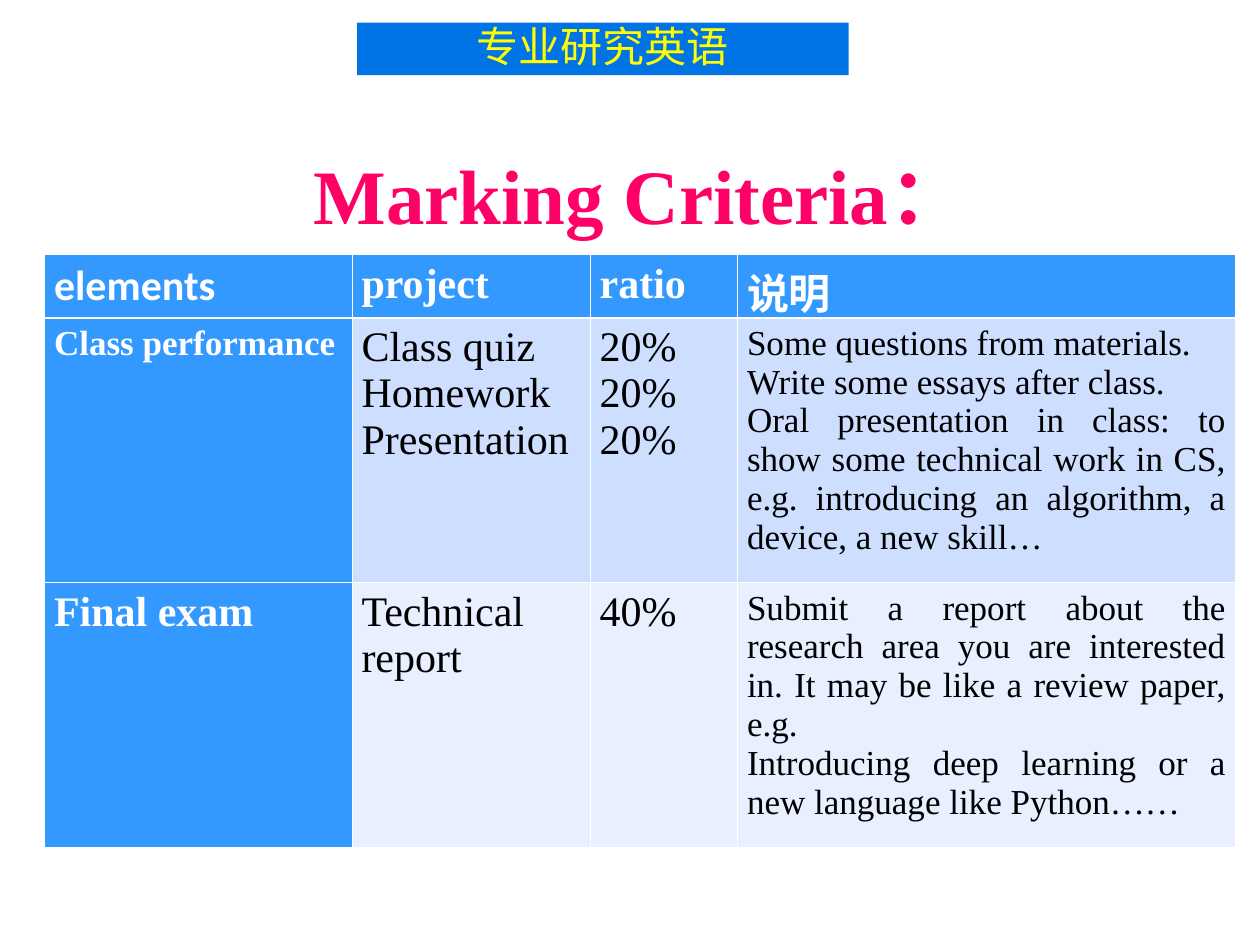
from dataclasses import dataclass

from lxml import etree
from pptx import Presentation
from pptx.dml.color import RGBColor
from pptx.enum.shapes import MSO_SHAPE
from pptx.enum.text import MSO_ANCHOR, PP_ALIGN
from pptx.oxml.ns import qn
from pptx.util import Pt

RECT = MSO_SHAPE.RECTANGLE
MIDDLE = MSO_ANCHOR.MIDDLE
CENTER = PP_ALIGN.CENTER
JUSTIFY = PP_ALIGN.JUSTIFY


@dataclass(frozen=True)
class Theme:
    banner: str = "0073E5"
    yellow: str = "FFFF00"
    pink: str = "FF0066"
    head: str = "3399FF"
    bands: tuple = ("CDDEFF", "E8EFFF")
    white: str = "FFFFFF"
    black: str = "000000"
    serif: str = "Times New Roman"
    sans: str = "Calibri"
    asian: str = "Noto Sans CJK SC"
    title: int = 44
    large: int = 24
    small: int = 20
    thin: float = 0.45
    thick: float = 1.47


THEME = Theme()

COLS = (175.7, 136.1, 84.2, 284.4)
ROWS = (28.8, 151.2, 151.2)
CELLS = (
    (("elements",), ("project",), ("ratio",), ("说明",)),
    (
        ("Class performance",),
        ("Class quiz", "Homework", "Presentation"),
        ("20%", "20%", "20%"),
        (
            "Some questions from materials.",
            "Write some essays after class.",
            "Oral presentation in class: to show some technical work in CS, "
            "e.g. introducing an algorithm, a device, a new skill…",
        ),
    ),
    (
        ("Final exam",),
        ("Technical report",),
        ("40%",),
        (
            "Submit a report about the research area you are interested in. "
            "It may be like a review paper, e.g. ",
            "Introducing deep learning or a new language like Python……",
        ),
    ),
)


def paint(fill, color):
    fill.solid()
    fill.fore_color.rgb = RGBColor.from_string(color)


def add_text(frame, lines, size, color, face, bold=False, align=CENTER):
    """Write one paragraph per line, each with a single run."""
    frame.word_wrap = True
    for i, line in enumerate(lines):
        para = frame.add_paragraph() if i else frame.paragraphs[0]
        para.alignment = align
        run = para.add_run()
        run.text = line
        font = run.font
        font.size, font.bold, font.name = Pt(size), bold, face
        font.color.rgb = RGBColor.from_string(color)
        asian = etree.SubElement(run._r.get_or_add_rPr(), qn("a:ea"))
        asian.set("typeface", THEME.asian)


def add_edge(cell, side, width):
    props = cell._tc.get_or_add_tcPr()
    line = etree.SubElement(props, qn(f"a:ln{side}"), w=str(Pt(width)))
    fill = etree.SubElement(line, qn("a:solidFill"))
    etree.SubElement(fill, qn("a:srgbClr"), val=THEME.white)


def add_banner(slide):
    box = slide.shapes.add_shape(RECT, Pt(204), Pt(13), Pt(281), Pt(30))
    box.shadow.inherit = False
    paint(box.fill, THEME.banner)
    box.line.fill.background()
    frame = box.text_frame
    frame.vertical_anchor = MIDDLE
    add_text(frame, ["专业研究英语"], THEME.large, THEME.yellow, THEME.asian)
    para = frame.paragraphs[0]
    para.line_spacing = 0.9
    para.space_after = Pt(6)


def add_title(slide):
    box = slide.shapes.add_textbox(Pt(39.6), Pt(80.6), Pt(652.3), Pt(60.5))
    add_text(box.text_frame, ["Marking Criteria："], THEME.title,
             THEME.pink, THEME.serif, bold=True)


def fill_cell(cell, row, col, lines):
    head = row == 0 or col == 0
    # The rule under the header row is heavier than the rest
    heavy = {(0, "B"), (1, "T")}
    for side in "LRTB":
        add_edge(cell, side, THEME.thick if (row, side) in heavy else THEME.thin)
    paint(cell.fill, THEME.head if head else THEME.bands[row - 1])
    cell.margin_left = cell.margin_right = Pt(5.4)
    cell.margin_top = cell.margin_bottom = Pt(3.6)
    small = (row, col) == (1, 0) or (row > 0 and col == 3)
    add_text(
        cell.text_frame, lines,
        THEME.small if small else THEME.large,
        THEME.white if head else THEME.black,
        THEME.sans if row == col == 0 else THEME.serif,
        bold=head, align=JUSTIFY,
    )


def add_grid(slide):
    frame = slide.shapes.add_table(
        len(ROWS), len(COLS), Pt(25.5), Pt(145.5), Pt(sum(COLS)), Pt(sum(ROWS)))
    table = frame.table
    table.first_col = True
    table.horz_banding = False
    for col, width in zip(table.columns, COLS):
        col.width = Pt(width)
    for row, height in zip(table.rows, ROWS):
        row.height = Pt(height)
    for r, row in enumerate(CELLS):
        for c, lines in enumerate(row):
            fill_cell(table.cell(r, c), r, c, lines)


def main():
    deck = Presentation()
    deck.slide_width, deck.slide_height = Pt(720), Pt(540)
    slide = deck.slides.add_slide(deck.slide_layouts[6])
    add_banner(slide)
    add_title(slide)
    add_grid(slide)
    deck.save("out.pptx")


if __name__ == "__main__":
    main()
